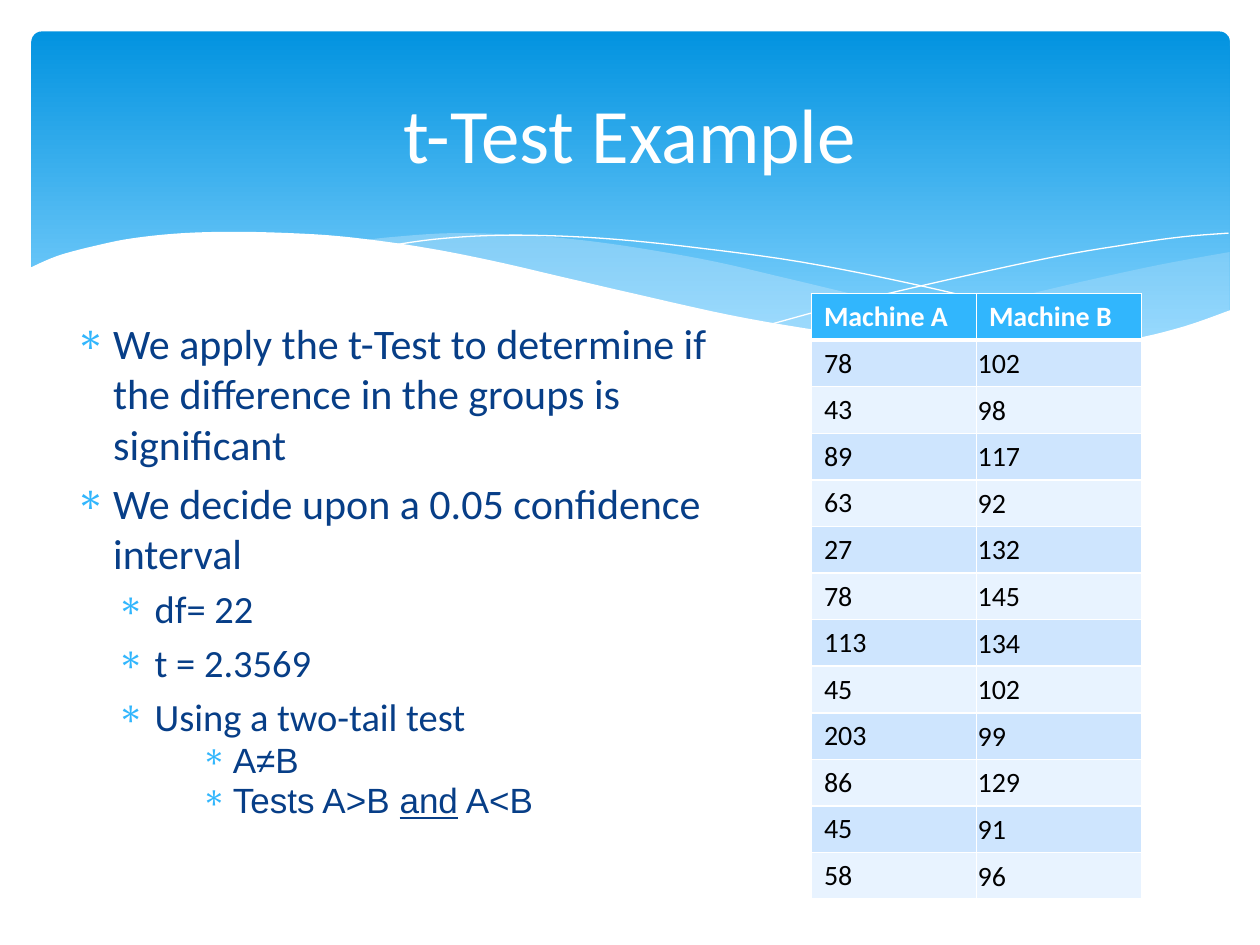
from lxml.etree import SubElement
from pptx import Presentation
from pptx.dml.color import RGBColor
from pptx.enum.shapes import MSO_SHAPE
from pptx.enum.text import MSO_ANCHOR, PP_ALIGN
from pptx.oxml.ns import qn
from pptx.util import Emu, Inches, Pt

WIDE, HIGH = 10, 7.5
FONT = "Calibri"
HUES = {
    "white": "FFFFFF", "black": "000000", "navy": "073E87", "sky": "31B6FD",
    "deep": "0293E0", "light": "83D3FE", "mist": "C6E7FC",
    "odd": "CEE5FE", "even": "E8F3FF",
}

TITLE = "t-Test Example"
# level, then runs; a run marked True is underlined
BODY = [
    (0, [("We apply the t-Test to determine if the difference in the groups "
          "is significant", False)]),
    (0, [("We decide upon a 0.05 confidence interval", False)]),
    (1, [("df= 22", False)]),
    (1, [("t = 2.3569", False)]),
    (1, [("Using a two-tail test", False)]),
    (2, [("A≠B", False)]),
    (2, [("Tests A>B ", False), ("and", True), (" A<B", False)]),
]
# size, font, left margin, hanging indent, line spacing
LEVELS = [
    (24, FONT, 0.3, 0.3, 1.0),
    (22, FONT, 0.63, 0.3, 1.0),
    (20, "Arial", 1.25, 0.25, 0.8),
]
HEADS = ["Machine A", "Machine B"]
ROWS = [
    (78, 102), (43, 98), (89, 117), (63, 92), (27, 132), (78, 145),
    (113, 134), (45, 102), (203, 99), (86, 129), (45, 91), (58, 96),
]

# Each wave is a list of smooth curves, joined end to end.
# curves, opacity in percent
WAVES = [
    ([[(9.76, 2), (9.21, 2.1), (8.61, 2.23), (7.79, 2.42), (7.06, 2.57),
       (6.61, 2.65)],
      [(6.61, 2.65), (7.05, 2.71), (7.57, 2.76), (8.14, 2.78), (8.63, 2.75),
       (9.05, 2.69), (9.42, 2.59), (9.76, 2.47)]], 29),
    ([[(8.93, 2.73), (8.07, 2.6), (7.06, 2.4), (6.29, 2.22), (5.69, 2.08),
       (5.14, 1.98), (4.65, 1.91), (4.2, 1.87), (3.61, 1.85), (3.13, 1.88),
       (2.86, 1.91)],
      [(2.86, 1.91), (3.42, 1.99), (4.04, 2.11), (4.49, 2.22), (5.3, 2.4),
       (6.01, 2.55), (6.65, 2.66), (7.22, 2.74), (7.73, 2.77), (8.18, 2.78),
       (8.57, 2.77), (8.93, 2.73)]], 40),
]
STRANDS = [
    [(3.09, 1.95), (3.44, 1.9), (3.87, 1.87), (4.33, 1.87), (4.89, 1.9),
     (5.56, 1.97), (6.36, 2.08), (7.27, 2.26), (8.31, 2.51), (9.07, 2.72)],
    [(6.13, 2.57), (6.72, 2.41), (7.48, 2.23), (8.36, 2.04), (8.95, 1.94),
     (9.38, 1.88), (9.75, 1.85)],
]
FRONT = [
    [(9.77, 2.46), (9.4, 2.59), (8.99, 2.69), (8.5, 2.75), (8.09, 2.77),
     (7.61, 2.75), (7.08, 2.7), (6.48, 2.62), (5.79, 2.5), (5.03, 2.33),
     (4.47, 2.2), (3.91, 2.07), (3.4, 1.97), (2.92, 1.9), (2.5, 1.86),
     (1.93, 1.84), (1.46, 1.85), (1.06, 1.89), (0.76, 1.95), (0.46, 2.03),
     (0.23, 2.13)],
    [(0.23, 3.29), (9.77, 3.29)],
]


def hue(name):
    return RGBColor.from_string(HUES[name])


def smooth(dots, steps=5):
    """Points on the Catmull-Rom curve through the dots."""
    ends = [dots[0], *dots, dots[-1]]
    out = [dots[0]]
    for a, b, c, d in zip(ends, ends[1:], ends[2:], ends[3:]):
        for n in range(1, steps + 1):
            t = n / steps
            out.append(tuple(
                (2 * q + (r - p) * t + (2 * p - 5 * q + 4 * r - s) * t ** 2
                 + (3 * q - p - 3 * r + s) * t ** 3) / 2
                for p, q, r, s in zip(a, b, c, d)))
    return out


def trace(shapes, curves, close):
    dots = [(Inches(x), Inches(y)) for c in curves for x, y in smooth(c)]
    pen = shapes.build_freeform(*dots[0])
    pen.add_line_segments(dots[1:], close=close)
    form = pen.convert_to_shape()
    form.shadow.inherit = False
    return form


def area(shapes, curves, name, alpha=100):
    form = trace(shapes, curves, True)
    form.line.fill.background()
    form.fill.solid()
    form.fill.fore_color.rgb = hue(name)
    if alpha < 100:
        tone = form.fill._xPr.find(".//" + qn("a:srgbClr"))
        SubElement(tone, qn("a:alpha"), val=str(alpha * 1000))


def strand(shapes, curve):
    form = trace(shapes, [curve], False)
    form.fill.background()
    form.line.color.rgb = hue("white")
    form.line.width = Pt(0)


def band(shapes):
    box = shapes.add_shape(MSO_SHAPE.ROUNDED_RECTANGLE, Inches(0.25),
                           Inches(0.25), Inches(9.51), Inches(2.7))
    box.adjustments[0] = 0.03
    box.shadow.inherit = False
    box.line.fill.background()
    box.fill.gradient()
    box.fill.gradient_angle = 270
    for stop, name, at in zip(box.fill.gradient_stops, ("deep", "light"), (0, 0.9)):
        stop.color.rgb = hue(name)
        stop.position = at


def write(para, text, size, name, font=FONT):
    run = para.add_run()
    run.text = text
    run.font.size = Pt(size)
    run.font.name = font
    run.font.color.rgb = hue(name)
    return run


def frame(shapes, x, y, w, h):
    text = shapes.add_textbox(Inches(x), Inches(y), Inches(w), Inches(h)).text_frame
    text.word_wrap = True
    return text


def bullet(para, left, hang):
    props = para._p.get_or_add_pPr()
    props.set("marL", str(Inches(left)))
    props.set("indent", str(-Inches(hang)))
    tint = SubElement(props, qn("a:buClr"))
    SubElement(tint, qn("a:srgbClr"), val=HUES["sky"])
    SubElement(props, qn("a:buFont"), typeface="Symbol")
    SubElement(props, qn("a:buChar"), char="∗")


def points(shapes):
    text = frame(shapes, 0.05 * WIDE, 2.47, 0.57 * WIDE, 4.75)
    for i, (level, runs) in enumerate(BODY):
        size, font, left, hang, gap = LEVELS[level]
        para = text.paragraphs[0] if i == 0 else text.add_paragraph()
        para.level = level
        bullet(para, left, hang)
        para.line_spacing = gap
        para.space_before = Pt(0.2 * size if i else 0)
        for words, under in runs:
            run = write(para, words, size, "navy", font)
            if under:
                run.font.underline = True


def edge(cell, sides):
    """Draw white borders; sides maps L, R, T, B to points."""
    props = cell._tc.get_or_add_tcPr()
    for side, wide in sides.items():
        line = SubElement(props, qn("a:ln" + side), w=str(Pt(wide)))
        fill = SubElement(line, qn("a:solidFill"))
        SubElement(fill, qn("a:srgbClr"), val=HUES["white"])


def grid(shapes):
    data = [HEADS, *ROWS]
    wide, high = 1.31, 0.37
    table = shapes.add_table(
        len(data), 2, Inches(6.44), Inches(2.33),
        Inches(2 * wide), Inches(high * len(data))).table
    for i, row in enumerate(data):
        table.rows[i].height = Inches(high)
        for j, item in enumerate(row):
            cell = table.cell(i, j)
            edge(cell, {"L": 1, "R": 1, "T": 3 if i == 1 else 1,
                        "B": 1 if i else 3})
            cell.fill.solid()
            cell.fill.fore_color.rgb = hue(
                "sky" if i == 0 else "odd" if i % 2 else "even")
            if i and j:
                cell.vertical_anchor = MSO_ANCHOR.MIDDLE
                cell.margin_left = cell.margin_right = Inches(0.01)
                cell.margin_top, cell.margin_bottom = Inches(0.01), Emu(0)
            run = write(cell.text_frame.paragraphs[0], str(item), 16,
                        "black" if i else "white")
            run.font.bold = i == 0


def main():
    deck = Presentation()
    deck.slide_width, deck.slide_height = Inches(WIDE), Inches(HIGH)
    shapes = deck.slides.add_slide(deck.slide_layouts[6]).shapes
    band(shapes)
    for curves, alpha in WAVES:
        area(shapes, curves, "mist", alpha)
    for curve in STRANDS:
        strand(shapes, curve)
    area(shapes, FRONT, "white")
    head = frame(shapes, 0.05 * WIDE, 0.37, 0.9 * WIDE, 1.37)
    head.vertical_anchor = MSO_ANCHOR.MIDDLE
    head.paragraphs[0].alignment = PP_ALIGN.CENTER
    write(head.paragraphs[0], TITLE, 44, "white")
    points(shapes)
    grid(shapes)
    deck.save("out.pptx")


if __name__ == "__main__":
    main()
